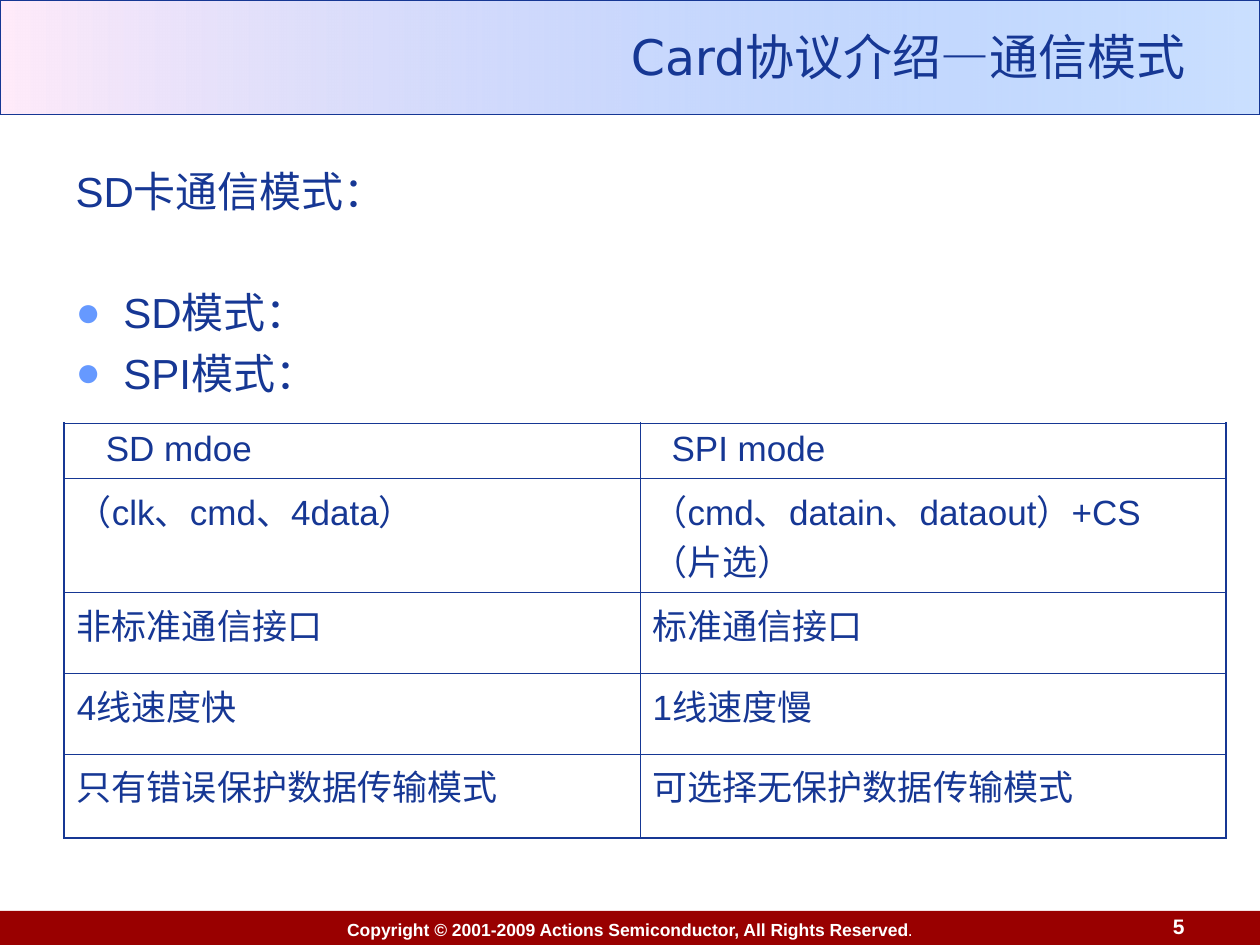
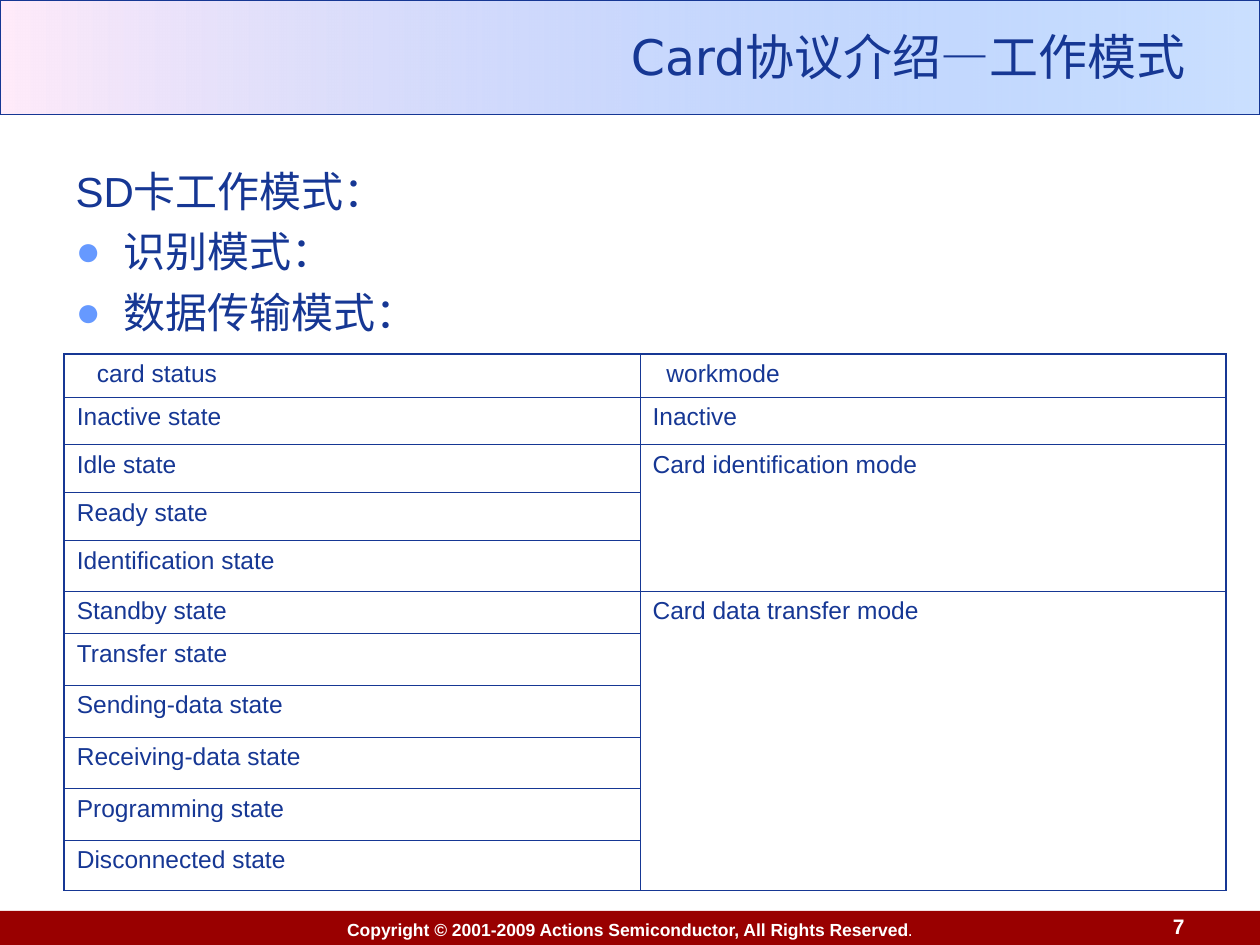
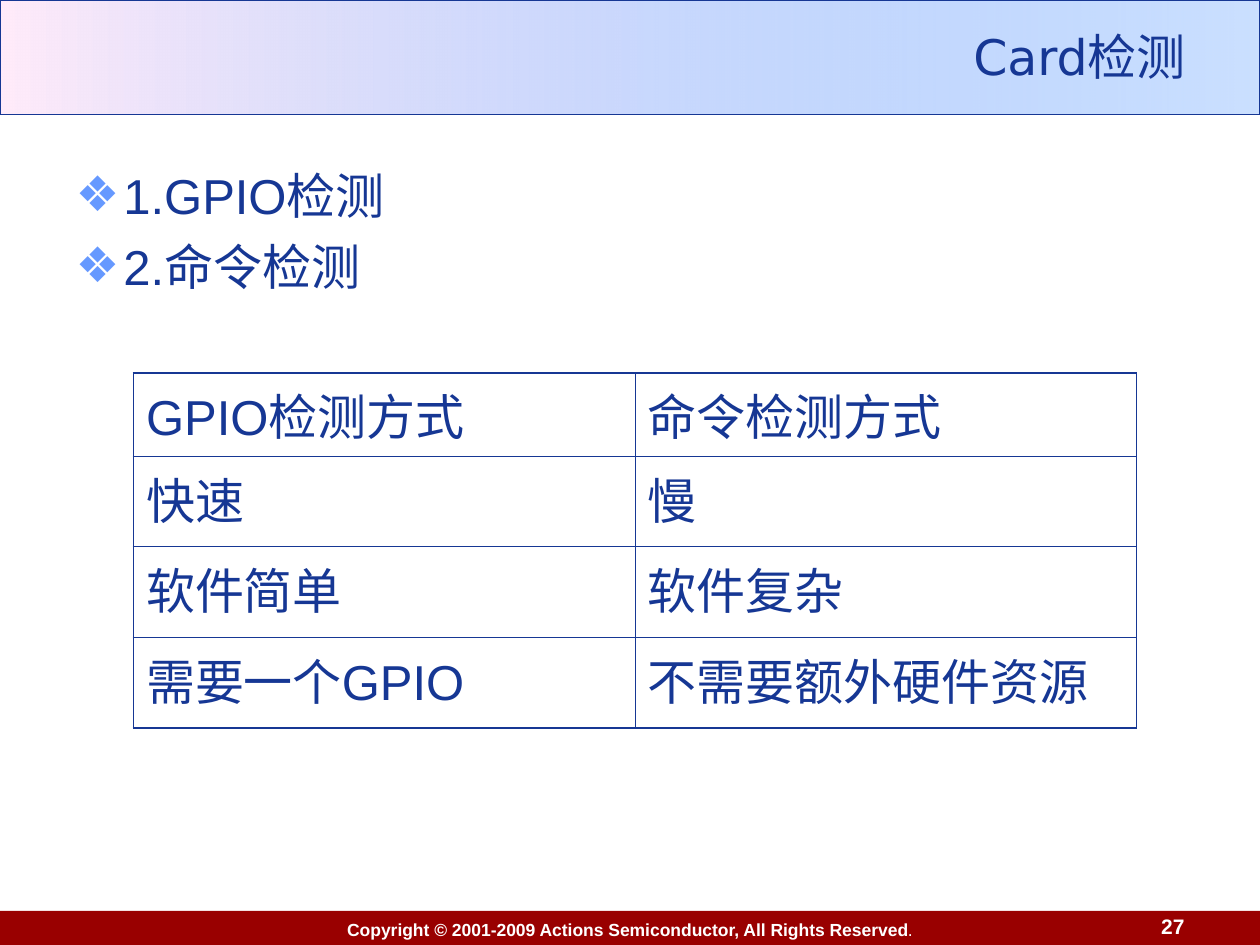
import dataclasses

import lxml.etree
import pptx
import pptx.dml.color
import pptx.enum.dml
import pptx.enum.shapes
import pptx.enum.text
import pptx.oxml.ns
import pptx.util

Inches = pptx.util.Inches
Pt = pptx.util.Pt
qn = pptx.oxml.ns.qn
ANCHOR = pptx.enum.text.MSO_ANCHOR
ALIGN = pptx.enum.text.PP_ALIGN


@dataclasses.dataclass(frozen=True)
class Theme:
    navy: str = "163794"
    bullet: str = "6699FF"
    band_blue: str = "5E9EFF"
    band_pink: str = "FFEBFA"
    footer_red: str = "990000"
    white: str = "FFFFFF"
    body_font: str = "Arial"
    title_font: str = "DejaVu Sans"
    title_size: int = 28
    list_size: int = 24
    large_size: int = 28
    mode_size: int = 20
    state_size: int = 14
    footer_size: int = 10
    number_size: int = 12
    outer_line: float = 1.08
    inner_line: float = 0.45
    hang: float = 0.38


THEME = Theme()


def rgb(value):
    return pptx.dml.color.RGBColor.from_string(value)


def add_xml(parent, tag, **attributes):
    return lxml.etree.SubElement(parent, qn(tag), attributes)


def style_runs(para, size, color=THEME.navy, name=THEME.body_font, bold=False):
    for span in para.runs:
        span.font.size = Pt(size)
        span.font.name = name
        span.font.bold = bold
        span.font.color.rgb = rgb(color)


def place(shape, left, top, width, height):
    shape.left, shape.top = Inches(left), Inches(top)
    shape.width, shape.height = Inches(width), Inches(height)


def add_rectangle(page, left, top, width, height):
    shape = page.shapes.add_shape(
        pptx.enum.shapes.MSO_SHAPE.RECTANGLE,
        Inches(left), Inches(top), Inches(width), Inches(height))
    shape.shadow.inherit = False
    return shape


def add_title_band(page):
    band = add_rectangle(page, 0, 0, 10, 0.91)
    band.fill.gradient()
    band.fill.gradient_angle = 180
    for stop, color in zip(band.fill.gradient_stops, (THEME.band_blue, THEME.band_pink)):
        stop.color.rgb = rgb(color)
    first_color = next(band.element.iter(qn("a:srgbClr")))
    add_xml(first_color, "a:alpha", val="32000")
    band.line.color.rgb = rgb(THEME.navy)
    band.line.width = Pt(0.75)
    return band


def add_footer(page):
    footer = add_rectangle(page, 0, 7.23, 10, 0.29)
    footer.fill.solid()
    footer.fill.fore_color.rgb = rgb(THEME.footer_red)
    footer.line.fill.background()
    frame = footer.text_frame
    frame.word_wrap = False
    frame.vertical_anchor = ANCHOR.MIDDLE
    para = frame.paragraphs[0]
    para.text = "Copyright © 2001-2009 Actions Semiconductor, All Rights Reserved"
    para.add_run().text = "."
    para.alignment = ALIGN.CENTER
    style_runs(para, THEME.footer_size, THEME.white, bold=True)
    para.runs[-1].font.bold = False
    return footer


def move_to_master(deck, shapes):
    tree = deck.slide_master.shapes.element
    for position, shape in enumerate(shapes, start=2):
        tree.insert(position, shape.element)


def add_page(deck, title, number):
    page = deck.slides.add_slide(deck.slide_layouts[1])
    heading = page.shapes.title
    place(heading, 2.01, 0.13, 7.5, 0.62)
    frame = heading.text_frame
    frame.text = title
    frame.auto_size = pptx.enum.text.MSO_AUTO_SIZE.NONE
    frame.vertical_anchor = ANCHOR.MIDDLE
    frame.paragraphs[0].alignment = ALIGN.RIGHT
    style_runs(frame.paragraphs[0], THEME.title_size, name=THEME.title_font)

    box = page.shapes.add_textbox(Inches(8.94), Inches(7.22), Inches(0.56), Inches(0.28))
    box.text_frame.text = str(number)
    box.text_frame.word_wrap = True
    box.text_frame.vertical_anchor = ANCHOR.BOTTOM
    box.text_frame.paragraphs[0].alignment = ALIGN.RIGHT
    style_runs(box.text_frame.paragraphs[0], THEME.number_size, THEME.white, bold=True)
    return page


def set_bullet(para, mark):
    properties = para._p.get_or_add_pPr()
    hang = Inches(THEME.hang)
    properties.set("marL", str(hang))
    properties.set("indent", str(-hang))
    if mark:
        color = add_xml(properties, "a:buClr")
        add_xml(color, "a:srgbClr", val=THEME.bullet)
        add_xml(properties, "a:buChar", char=mark)
    else:
        add_xml(properties, "a:buNone")


def fill_body(page, width, size, items):
    body = page.placeholders[1]
    place(body, 0.5, 1.26, width, 5.74)
    frame = body.text_frame
    frame.text = "\n".join(text for text, mark, gap in items)
    frame.auto_size = pptx.enum.text.MSO_AUTO_SIZE.NONE
    for para, (text, mark, gap) in zip(frame.paragraphs, items):
        set_bullet(para, mark)
        para.space_before = Pt(gap)
        style_runs(para, size)


def set_borders(cell, outer_sides):
    properties = cell._tc.get_or_add_tcPr()
    for side in "LRTB":
        points = THEME.outer_line if side in outer_sides else THEME.inner_line
        line = add_xml(properties, f"a:ln{side}", w=str(Pt(points)))
        color = add_xml(line, "a:solidFill")
        add_xml(color, "a:srgbClr", val=THEME.navy)


def add_grid(page, left, top, widths, heights, size, rows, header_indents=(0, 0)):
    table = page.shapes.add_table(
        len(rows), len(widths), Inches(left), Inches(top),
        Inches(sum(widths)), Inches(sum(heights))).table
    table.first_row = table.horz_banding = False
    for column, width in zip(table.columns, widths):
        column.width = Inches(width)
    for row, height in zip(table.rows, heights):
        row.height = Inches(height)

    for row_index, row in enumerate(rows):
        for column_index, text in enumerate(row):
            cell = table.cell(row_index, column_index)
            last = row_index
            while last + 1 < len(rows) and rows[last + 1][column_index] is None:
                last += 1
            if text is not None and last > row_index:
                cell.merge(table.cell(last, column_index))
            sides = "L" if column_index == 0 else "R"
            sides += "T" if row_index == 0 else ""
            sides += "B" if last == len(rows) - 1 else ""
            set_borders(cell, sides)
            cell.fill.background()
            para = cell.text_frame.paragraphs[0]
            if text is None:
                add_xml(para._p, "a:endParaRPr", sz=str(size * 100))
                continue
            para.text = text
            style_runs(para, size)
            if row_index == 0 and header_indents[column_index]:
                indent = Inches(header_indents[column_index])
                para._p.get_or_add_pPr().set("marL", str(indent))


def main():
    deck = pptx.Presentation()
    deck.slide_width, deck.slide_height = Inches(10), Inches(7.5)
    wide_columns = (4.57, 4.65)

    page = add_page(deck, "Card协议介绍—通信模式", 5)
    move_to_master(deck, [add_title_band(page), add_footer(page)])
    fill_body(page, 9.23, THEME.list_size, [
        ("SD卡通信模式：", None, 0),
        ("SD模式：", "●", 40.5),
        ("SPI模式：", "●", 6),
    ])
    mode_heights = (0.43, 0.91, 0.64, 0.64, 0.67)
    add_grid(page, 0.51, 3.36, wide_columns, mode_heights, THEME.mode_size, [
        ("SD mdoe", "SPI mode"),
        ("（clk、cmd、4data）", "（cmd、datain、dataout）+CS （片选）"),
        ("非标准通信接口", "标准通信接口"),
        ("4线速度快", "1线速度慢"),
        ("只有错误保护数据传输模式", "可选择无保护数据传输模式"),
    ], header_indents=(0.23, 0.15))

    page = add_page(deck, "Card协议介绍—工作模式", 7)
    fill_body(page, 9.23, THEME.list_size, [
        ("SD卡工作模式：", None, 0),
        ("识别模式：", "●", 6),
        ("数据传输模式：", "●", 6),
    ])
    state_heights = (0.34, 0.38, 0.38, 0.38, 0.4, 0.34) + (0.41,) * 4 + (0.4,)
    add_grid(page, 0.51, 2.81, wide_columns, state_heights, THEME.state_size, [
        ("card status", "workmode"),
        ("Inactive state", "Inactive"),
        ("Idle state", "Card identification mode"),
        ("Ready state", None),
        ("Identification state", None),
        ("Standby state", "Card data transfer mode"),
        ("Transfer state", None),
        ("Sending-data state", None),
        ("Receiving-data state", None),
        ("Programming state", None),
        ("Disconnected state", None),
    ], header_indents=(0.16, 0.11))

    page = add_page(deck, "Card检测", 27)
    fill_body(page, 4.42, THEME.large_size, [
        ("1.GPIO检测", "❖", 0),
        ("2.命令检测", "❖", 7),
    ])
    detection_heights = (0.66,) + (0.72,) * 3
    add_grid(page, 1.06, 2.96, (3.98, 3.98), detection_heights, THEME.large_size, [
        ("GPIO检测方式", "命令检测方式"),
        ("快速", "慢"),
        ("软件简单", "软件复杂"),
        ("需要一个GPIO", "不需要额外硬件资源"),
    ])

    deck.save("out.pptx")


if __name__ == "__main__":
    main()
